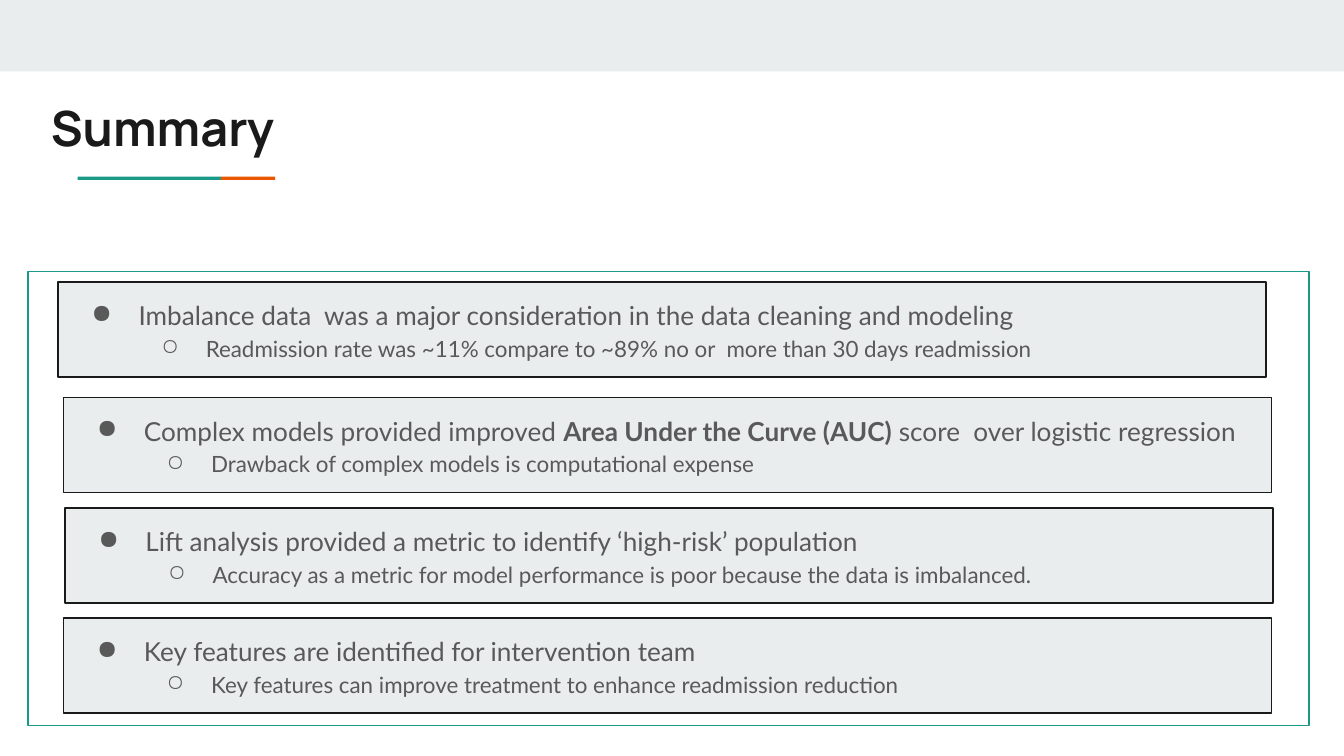
from dataclasses import dataclass

from lxml import etree
from pptx import Presentation
from pptx import util as u
from pptx.dml.color import RGBColor
from pptx.enum import shapes, text
from pptx.oxml import ns


@dataclass(frozen=True)
class Theme:
    """Colours, fonts and type sizes of the deck."""

    band: str = "E9EDEE"
    teal: str = "1A9988"
    orange: str = "EB5600"
    ink: str = "1A1A1A"
    body: str = "595959"
    title_font: str = "Manrope"
    body_font: str = "Lato"
    title_size: float = 26
    point_size: float = 14
    detail_size: float = 12
    line: float = 0.75
    inset: float = 0.25


class SummarySlide:
    """Draws styled elements on one slide."""

    def __init__(self, slide, theme):
        self.slide = slide
        self.theme = theme

    def rect(self, left, top, width, height, fill=None, line=None):
        """Add a plain rectangle with an optional fill and outline."""
        box = self.slide.shapes.add_shape(
            shapes.MSO_SHAPE.RECTANGLE, u.Cm(left), u.Cm(top), u.Cm(width), u.Cm(height))
        box.shadow.inherit = False
        if fill:
            box.fill.solid()
            box.fill.fore_color.rgb = RGBColor.from_string(fill)
        else:
            box.fill.background()
        if line:
            box.line.color.rgb = RGBColor.from_string(line)
            box.line.width = u.Pt(self.theme.line)
        else:
            box.line.fill.background()
        return box

    def set_frame(self, frame):
        """Give a text frame the common insets, wrapping and anchor."""
        frame.word_wrap = True
        frame.auto_size = text.MSO_AUTO_SIZE.NONE
        frame.vertical_anchor = text.MSO_ANCHOR.TOP
        for side in ("left", "top", "right", "bottom"):
            setattr(frame, f"margin_{side}", u.Cm(self.theme.inset))

    def set_font(self, font, name, size, colour):
        """Apply typeface, size and colour."""
        font.name = name
        font.size = u.Pt(size)
        font.color.rgb = RGBColor.from_string(colour)

    def title(self, wording, left, top, width, height):
        """Place and format the title placeholder."""
        heading = self.slide.shapes.title
        heading.left, heading.top = u.Cm(left), u.Cm(top)
        heading.width, heading.height = u.Cm(width), u.Cm(height)
        self.set_frame(heading.text_frame)
        heading.text_frame.text = wording
        line = heading.text_frame.paragraphs[0]
        line.alignment = text.PP_ALIGN.LEFT
        self.set_font(line.font, self.theme.title_font, self.theme.title_size, self.theme.ink)
        line.font.bold = True

    def bullet(self, paragraph, runs, level, symbol, margin, hanging, size):
        """Fill a paragraph with a bullet and (wording, bold) runs."""
        paragraph.level = level
        paragraph.alignment = text.PP_ALIGN.JUSTIFY
        paragraph.line_spacing = 1.15
        properties = paragraph._p.get_or_add_pPr()
        properties.set("marL", str(u.Cm(margin)))
        properties.set("indent", str(-u.Cm(hanging)))
        colour = etree.SubElement(properties, ns.qn("a:buClr"))
        etree.SubElement(colour, ns.qn("a:srgbClr"), val=self.theme.body)
        etree.SubElement(properties, ns.qn("a:buChar"), char=symbol)
        self.set_font(paragraph.font, self.theme.body_font, size, self.theme.body)
        for wording, bold in runs:
            run = paragraph.add_run()
            run.text = wording
            if bold:
                run.font.bold = True

    def card(self, left, top, width, height, point, detail):
        """Add a bordered card with a main point and one detail."""
        box = self.rect(left, top, width, height, self.theme.band, self.theme.ink)
        frame = box.text_frame
        self.set_frame(frame)
        self.bullet(frame.paragraphs[0], point, 0, "●", 1.27, 0.89, self.theme.point_size)
        self.bullet(frame.add_paragraph(), [(detail, False)], 1, "○", 2.54, 0.84,
                    self.theme.detail_size)


CARDS = [
    (1.10, 5.33,
     [("Imbalance data  was a major consideration in the data cleaning and modeling", False)],
     "Readmission rate was ~11% compare to ~89% no or  more than 30 days readmission"),
    (1.20, 7.51,
     [("Complex models provided improved ", False),
      ("Area Under the Curve (AUC)", True),
      (" score  over logistic regression", False)],
     "Drawback of complex models is computational expense"),
    (1.23, 9.60,
     [("Lift analysis provided a metric to identify ‘high-risk’ population", False)],
     "Accuracy as a metric for model performance is poor because the data is imbalanced."),
    (1.20, 11.68,
     [("Key features are identified for intervention team", False)],
     "Key features can improve treatment to enhance readmission reduction"),
]


def main():
    """Build and save the summary slide."""
    deck = Presentation()
    deck.slide_width, deck.slide_height = u.Cm(25.4), u.Cm(14.29)
    theme = Theme()
    summary = SummarySlide(deck.slides.add_slide(deck.slide_layouts[5]), theme)
    summary.rect(0, 0, 25.4, 1.35, theme.band)
    summary.rect(1.47, 3.34, 2.71, 0.06, theme.teal)
    summary.rect(4.18, 3.34, 1.02, 0.06, theme.orange)
    summary.title("Summary", 0.71, 1.6, 21.36, 1.5)
    summary.rect(0.53, 5.13, 24.21, 8.59, line=theme.teal)
    for left, top, point, detail in CARDS:
        summary.card(left, top, 22.83, 1.8, point, detail)
    deck.save("out.pptx")


if __name__ == "__main__":
    main()
